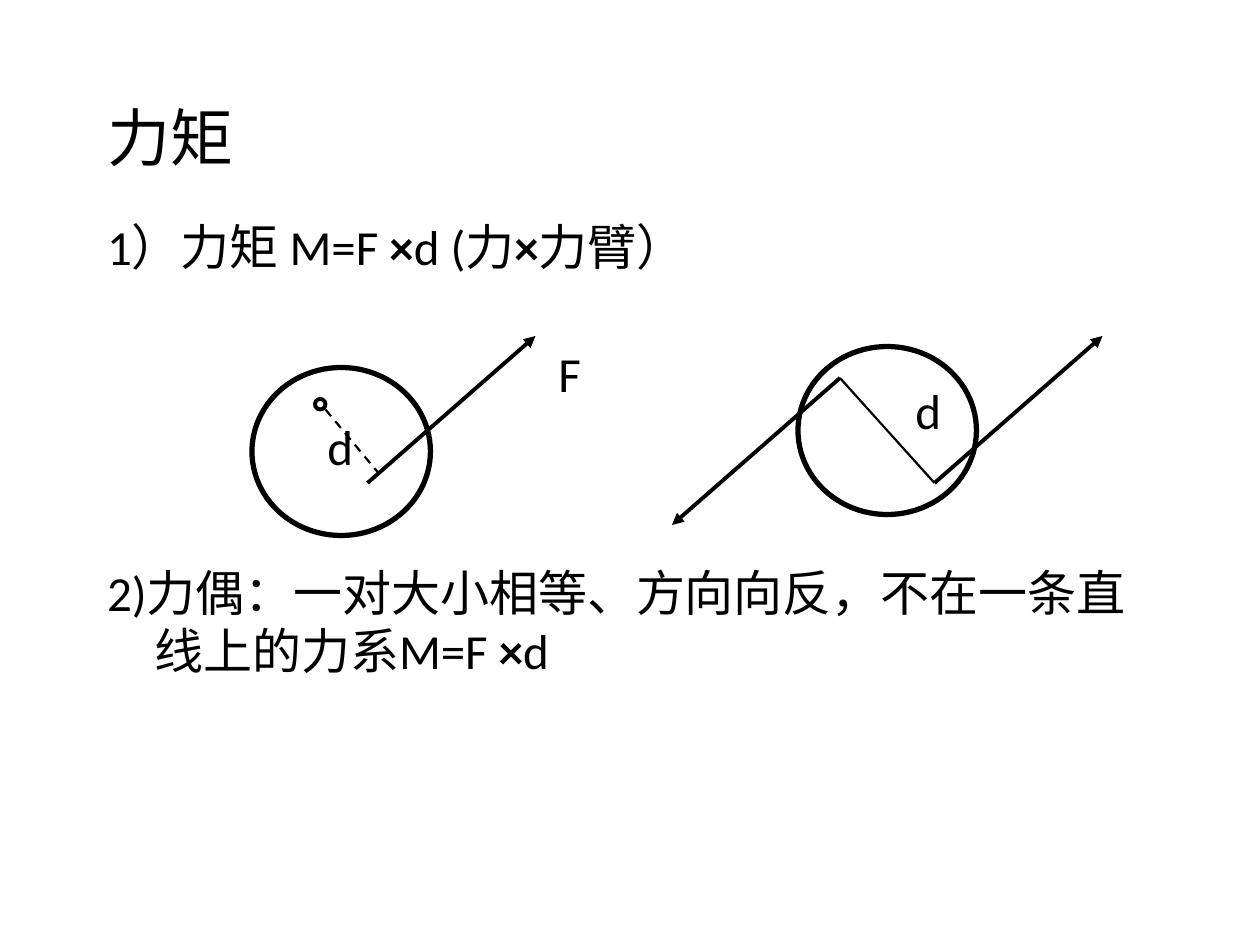
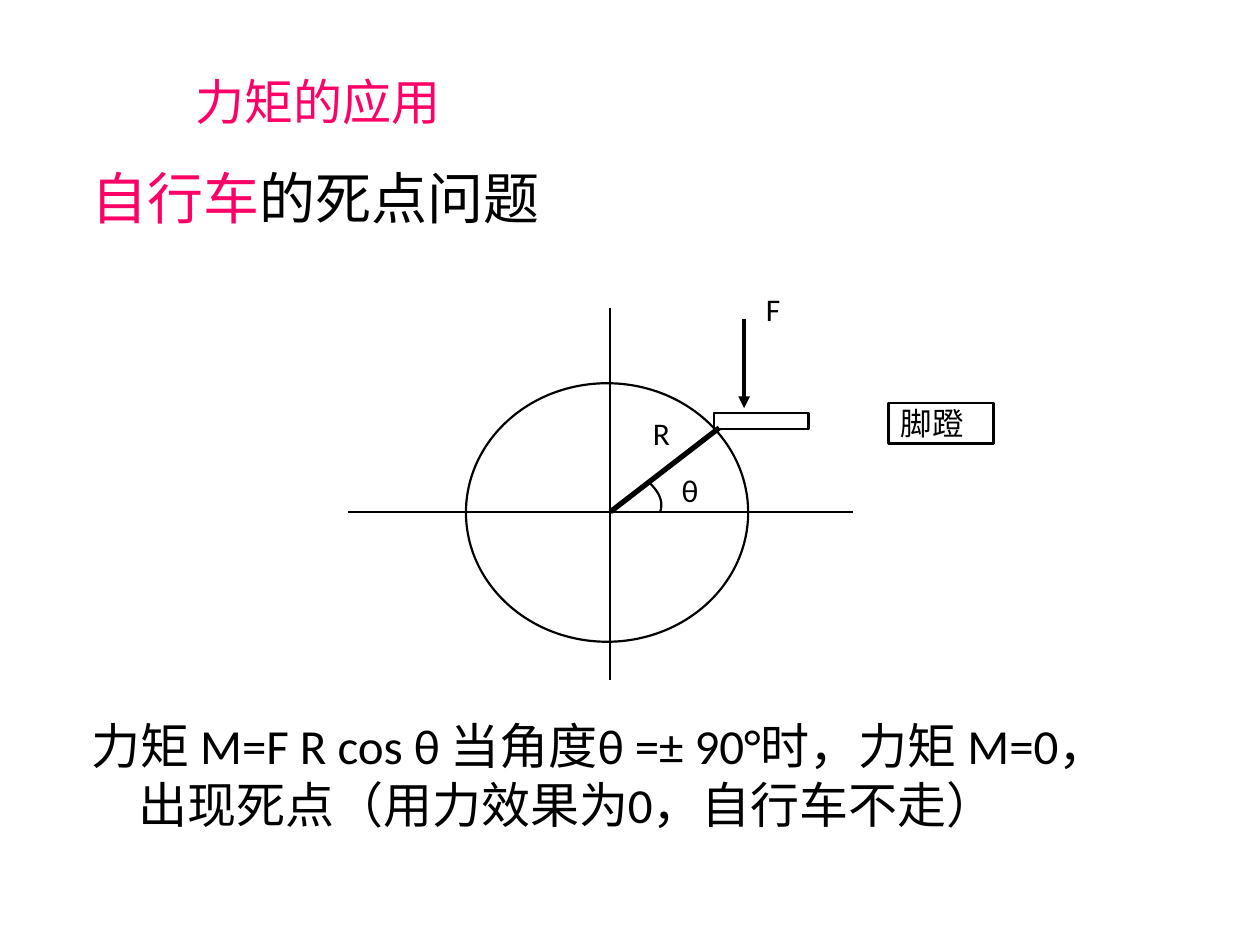
from dataclasses import dataclass

from lxml.etree import SubElement
from pptx import Presentation
from pptx.dml.color import RGBColor
from pptx.enum.dml import MSO_LINE
from pptx.enum.shapes import MSO_CONNECTOR, MSO_SHAPE
from pptx.enum.text import MSO_ANCHOR, MSO_AUTO_SIZE, PP_ALIGN
from pptx.oxml.ns import qn
from pptx.util import Pt

PX = 9525  # EMU in one px, 96 px to the inch
HANGING_INDENT = 36


@dataclass(frozen=True)
class Theme:
    font: str = "Calibri"
    ink: RGBColor = RGBColor(0x00, 0x00, 0x00)
    accent: RGBColor = RGBColor(0xFF, 0x00, 0x66)
    paper: RGBColor = RGBColor(0xFF, 0xFF, 0xFF)
    title: int = 36
    heading: int = 32
    body: int = 28
    label: int = 18
    thin: float = 1.25
    force: float = 2.25
    thick: float = 3


THEME = Theme()
BOLD_TIMES = ("×", {"bold": True})

# Boxes are (left, top, width, height); lines are (x1, y1, x2, y2).
# A paragraph is (space before in points, runs); a run is (text, format).
SLIDES = [
    {
        "title": ("力矩", (72, 64, 816, 80), {"size": THEME.title}),
        "body_box": (72, 160, 816, 480),
        "body": [
            (0, [("1）力矩 M=F ", {}), BOLD_TIMES, ("d (力", {}),
                 BOLD_TIMES, ("力臂）", {})]),
            (164, [("2)力偶：一对大小相等、方向向反，不在一条直线上的力系M=F ", {}),
                   BOLD_TIMES, ("d", {})]),
        ],
        "outlines": [
            (MSO_SHAPE.OVAL, (192, 280, 136, 128), THEME.thick),
            (MSO_SHAPE.OVAL, (240, 304, 8, 8), THEME.force),
            (MSO_SHAPE.OVAL, (608, 264, 136, 128), THEME.thick),
        ],
        "lines": [
            ((280, 368, 408, 256), THEME.force, {"arrow": True}),
            ((248, 312, 288, 360), THEME.thin, {"dashed": True}),
            ((640, 288, 512, 400), THEME.force, {"arrow": True}),
            ((712, 368, 840, 256), THEME.force, {"arrow": True}),
            ((640, 288, 712, 368), THEME.thin, {}),
        ],
        "labels": [
            ("d", (240, 328, 24, 24)),
            ("F", (416, 264, 40, 40)),
            ("d", (688, 296, 24, 32)),
        ],
        "label_size": THEME.body,
    },
    {
        "title": ("力矩的应用", (72, 64, 341, 26),
                  {"color": THEME.accent, "align": PP_ALIGN.CENTER}),
        "body_box": (60, 120, 816, 560),
        "body": [
            (0, [("自行车", {"size": THEME.heading, "color": THEME.accent}),
                 ("的死点问题", {"size": THEME.heading})]),
            (277, [("力矩 M=F R cos θ 当角度θ =± 90°时，力矩 M=0，"
                    "出现死点（用力效果为0，自行车不走）", {})]),
        ],
        "outlines": [
            (MSO_SHAPE.OVAL, (355, 292, 215, 197), THEME.thin),
            (MSO_SHAPE.RECTANGLE, (544, 315, 72, 12), THEME.thin),
            (MSO_SHAPE.RECTANGLE, (677, 307, 80, 31), THEME.thin),
        ],
        "lines": [
            ((265, 390, 650, 390), THEME.thin, {}),
            ((465, 235, 465, 518), THEME.thin, {}),
            ((465, 390, 548, 326), THEME.thick, {}),
            ((567, 243, 567, 311), THEME.force, {"arrow": True}),
        ],
        "angle_curve": ((495, 368), (501, 374), (506, 381), (503, 390)),
        "labels": [
            ("脚蹬", (677, 307, 80, 31)),
            ("F", (574, 220, 37, 31)),
            ("θ", (510, 360, 30, 27)),
            ("R", (488, 315, 31, 30)),
        ],
        "label_size": THEME.label,
    },
]


def emu(lengths):
    return [round(length * PX) for length in lengths]


def add_run(paragraph, text, *, size=THEME.body, color=THEME.ink, bold=False,
            align=PP_ALIGN.LEFT):
    paragraph.alignment = align
    run = paragraph.add_run()
    run.text = text
    run.font.name = THEME.font
    run.font.size = Pt(size)
    run.font.bold = bold
    run.font.color.rgb = color


def place(shape, box):
    shape.left, shape.top, shape.width, shape.height = emu(box)


def prepare_frame(shape, anchor, wrap=True):
    frame = shape.text_frame
    frame.auto_size = MSO_AUTO_SIZE.NONE
    frame.word_wrap = wrap
    frame.vertical_anchor = anchor
    return frame


def fill_title(placeholder, text, box, text_format):
    place(placeholder, box)
    frame = prepare_frame(placeholder, MSO_ANCHOR.MIDDLE)
    add_run(frame.paragraphs[0], text, **text_format)


def fill_body(placeholder, box, paragraphs):
    place(placeholder, box)
    frame = prepare_frame(placeholder, MSO_ANCHOR.TOP)
    for index, (space_before, runs) in enumerate(paragraphs):
        paragraph = frame.add_paragraph() if index else frame.paragraphs[0]
        properties = paragraph._p.get_or_add_pPr()
        properties.set("marL", str(HANGING_INDENT * PX))
        properties.set("indent", str(-HANGING_INDENT * PX))
        SubElement(properties, qn("a:buNone"))
        paragraph.space_before = Pt(space_before)
        for text, text_format in runs:
            add_run(paragraph, text, **text_format)


def stroke(shape, width):
    shape.line.color.rgb = THEME.ink
    shape.line.width = Pt(width)


def add_outline(slide, preset, box, width):
    outline = slide.shapes.add_shape(preset, *emu(box))
    outline.shadow.inherit = False
    outline.fill.background()
    stroke(outline, width)


def add_line(slide, ends, width, arrow=False, dashed=False):
    line = slide.shapes.add_connector(MSO_CONNECTOR.STRAIGHT, *emu(ends))
    stroke(line, width)
    if dashed:
        line.line.dash_style = MSO_LINE.DASH
    if arrow:
        SubElement(line.line._get_or_add_ln(), qn("a:tailEnd"), type="triangle")
    SubElement(line._element.spPr, qn("a:effectLst"))


def add_curve(slide, controls, steps=16):
    """Draw a cubic Bézier curve as a chain of short segments."""
    points = []
    for step in range(steps + 1):
        t = step / steps
        weights = ((1 - t) ** 3, 3 * t * (1 - t) ** 2, 3 * t ** 2 * (1 - t), t ** 3)
        points.append(emu(sum(w * value for w, value in zip(weights, axis))
                          for axis in zip(*controls)))
    builder = slide.shapes.build_freeform(*points[0])
    builder.add_line_segments(points[1:], close=False)
    curve = builder.convert_to_shape()
    curve.shadow.inherit = False
    curve.fill.background()
    stroke(curve, THEME.thin)


def add_label(slide, text, box, size):
    label = slide.shapes.add_textbox(*emu(box))
    frame = prepare_frame(label, MSO_ANCHOR.MIDDLE, wrap=False)
    add_run(frame.paragraphs[0], text, size=size)


def build_slide(deck, content):
    slide = deck.slides.add_slide(deck.slide_layouts[1])
    slide.background.fill.solid()
    slide.background.fill.fore_color.rgb = THEME.paper
    fill_title(slide.shapes.title, *content["title"])
    fill_body(slide.placeholders[1], content["body_box"], content["body"])
    for preset, box, width in content["outlines"]:
        add_outline(slide, preset, box, width)
    for ends, width, style in content["lines"]:
        add_line(slide, ends, width, **style)
    if "angle_curve" in content:
        add_curve(slide, content["angle_curve"])
    for text, box in content["labels"]:
        add_label(slide, text, box, content["label_size"])


def main():
    deck = Presentation()
    deck.slide_width, deck.slide_height = emu((960, 720))
    for content in SLIDES:
        build_slide(deck, content)
    deck.save("out.pptx")


if __name__ == "__main__":
    main()
